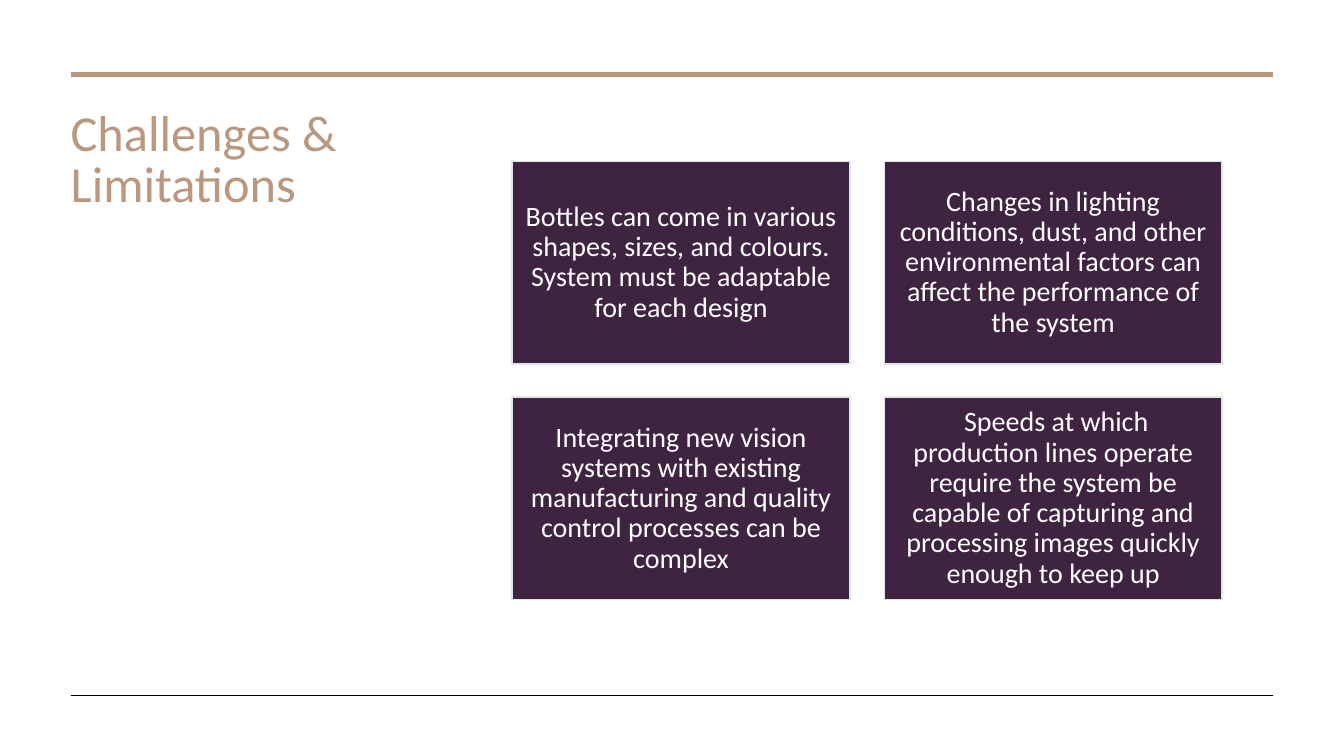
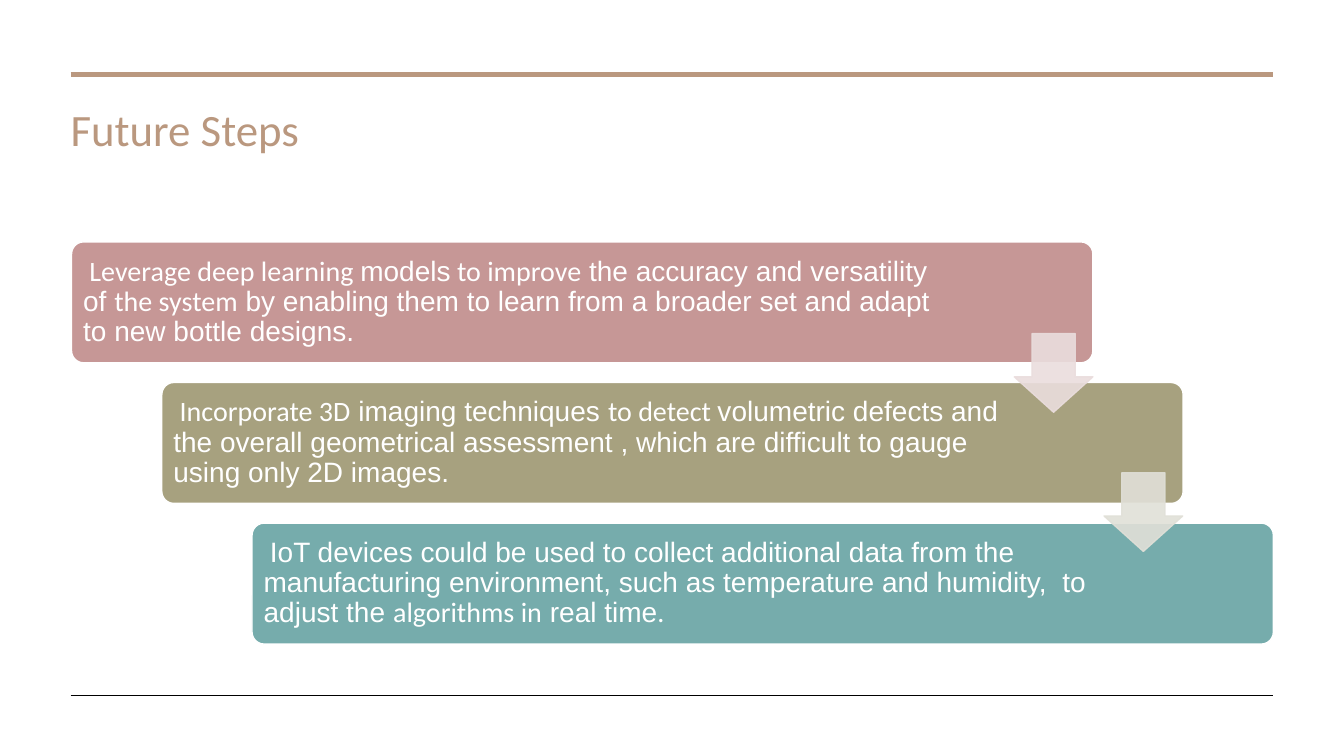
from dataclasses import dataclass

from lxml.etree import SubElement
from pptx import Presentation
from pptx.dml.color import RGBColor
from pptx.enum.shapes import MSO_CONNECTOR as Connector, MSO_SHAPE as Preset
from pptx.enum.text import MSO_ANCHOR as Anchor, MSO_AUTO_SIZE as AutoSize, PP_ALIGN as Align
from pptx.oxml.ns import qn
from pptx.shapes.autoshape import Shape
from pptx.slide import Slide
from pptx.util import Inches, Pt

COLOURS = {
    "accent": "BA987F",
    "footer": "000000",
    "white": "FFFFFF",
    "challenge": "3F2441",
    "challenge_edge": "E2E5E8",
    "learning": "C69796",
    "imaging": "A7A17F",
    "iot": "76ACAC",
    "learning_arrow": "EADDDD",
    "imaging_arrow": "E1E0D8",
}
SANS, ARIAL = "Calibri", "Arial"
TEXT_INSET = 0.08


@dataclass(frozen=True)
class Rule:
    top: float
    colour: str
    weight: float


@dataclass(frozen=True)
class Step:
    colour: str
    right_inset: float
    phrases: tuple[tuple[str, str], ...]


RULES = (Rule(0.74, "accent", 3), Rule(6.9, "footer", 0.5))

CHALLENGES = (
    "Bottles can come in various shapes, sizes, and colours. System must be adaptable for each design",
    "Changes in lighting conditions, dust, and other environmental factors can affect "
    "the performance of the system",
    "Integrating new vision systems with existing manufacturing and quality control "
    "processes can be complex",
    " Speeds at which production lines operate require the system be capable of capturing "
    "and processing images quickly enough to keep up",
)

STEPS = (
    Step("learning", 1.3, (
        (" Leverage deep learning ", SANS),
        ("models", ARIAL),
        (" to improve", SANS),
        (" the accuracy and versatility of ", ARIAL),
        ("the system", SANS),
        (" by enabling them to learn from a broader set and adapt to new bottle designs.", ARIAL),
    )),
    Step("imaging", 1.75, (
        (" Incorporate 3D", SANS),
        (" imaging techniques ", ARIAL),
        ("to detect ", SANS),
        ("volumetric defects and the overall geometrical assessment , which are difficult "
         "to gauge using only 2D images.", ARIAL),
    )),
    Step("iot", 1.75, (
        (" ", SANS),
        ("IoT devices could be used to collect additional data from the manufacturing "
         "environment, such as temperature and humidity,  to adjust the ", ARIAL),
        ("algorithms in", SANS),
        (" real time", ARIAL),
        (".", SANS),
    )),
)
STEP_ARROWS = ("learning_arrow", "imaging_arrow")


def rgb(colour: str) -> RGBColor:
    return RGBColor.from_string(COLOURS[colour])


def add_rule(slide: Slide, rule: Rule) -> None:
    line = slide.shapes.add_connector(
        Connector.STRAIGHT, Inches(0.7), Inches(rule.top), Inches(12.63), Inches(rule.top))
    line.line.color.rgb = rgb(rule.colour)
    line.line.width = Pt(rule.weight)
    SubElement(line._element.spPr, qn("a:effectLst"))


def add_titled_slide(deck: Presentation, heading: str, width: float, height: float,
                     size: int) -> Slide:
    slide = deck.slides.add_slide(deck.slide_layouts[5])
    title = slide.shapes.title
    title.left, title.top = Inches(0.6), Inches(1.04)
    title.width, title.height = Inches(width), Inches(height)
    frame = title.text_frame
    frame.text = heading
    frame.word_wrap = True
    frame.auto_size = AutoSize.NONE
    frame.vertical_anchor = Anchor.TOP
    paragraph = frame.paragraphs[0]
    paragraph.alignment = Align.LEFT
    paragraph.line_spacing = 0.85
    paragraph.font.name = SANS
    paragraph.font.size = Pt(size)
    paragraph.font.color.rgb = rgb("accent")
    for rule in RULES:
        add_rule(slide, rule)
    return slide


def add_panel(slide: Slide, preset: Preset, left: float, top: float, width: float,
              height: float, fill: str, edge: str) -> Shape:
    panel = slide.shapes.add_shape(
        preset, Inches(left), Inches(top), Inches(width), Inches(height))
    panel.shadow.inherit = False
    panel.fill.solid()
    panel.fill.fore_color.rgb = rgb(fill)
    panel.line.color.rgb = rgb(edge)
    panel.line.width = Pt(1)
    return panel


def write_panel(panel: Shape, phrases: tuple[tuple[str, str], ...], align: Align,
                right_inset: float = TEXT_INSET) -> None:
    frame = panel.text_frame
    frame.word_wrap = True
    frame.vertical_anchor = Anchor.MIDDLE
    frame.margin_left = frame.margin_top = frame.margin_bottom = Inches(TEXT_INSET)
    frame.margin_right = Inches(right_inset)
    paragraph = frame.paragraphs[0]
    paragraph.alignment = align
    paragraph.line_spacing = 0.9
    paragraph.font.size = Pt(20)
    paragraph.font.color.rgb = rgb("white")
    fonts = {font for _, font in phrases}
    if len(fonts) == 1:
        paragraph.font.name = fonts.pop()
    for text, font in phrases:
        run = paragraph.add_run()
        run.text = text
        if fonts:
            run.font.name = font


def add_step_arrow(slide: Slide, left: float, top: float, colour: str) -> None:
    arrow = add_panel(slide, Preset.DOWN_ARROW, left, top, 0.78, 0.78, colour, colour)
    arrow.adjustments[0], arrow.adjustments[1] = 0.55, 0.45
    for tint in arrow._element.spPr.iter(qn("a:srgbClr")):
        SubElement(tint, qn("a:alpha"), val="90000")


def build_challenges(deck: Presentation) -> None:
    slide = add_titled_slide(deck, "Challenges & Limitations", 4.15, 2.71, 36)
    for index, challenge in enumerate(CHALLENGES):
        row, column = divmod(index, 2)
        card = add_panel(slide, Preset.RECTANGLE, 5.08 + column * 3.69, 1.6 + row * 2.34,
                         3.35, 2.01, "challenge", "challenge_edge")
        write_panel(card, ((challenge, SANS),), Align.CENTER)


def build_future_steps(deck: Presentation) -> None:
    slide = add_titled_slide(deck, "Future Steps", 8.28, 1, 32)
    for index, step in enumerate(STEPS):
        bar = add_panel(slide, Preset.ROUNDED_RECTANGLE, 0.71 + index * 0.895,
                        2.4 + index * 1.395, 10.13, 1.2, step.colour, "white")
        bar.adjustments[0] = 0.1
        write_panel(bar, step.phrases, Align.LEFT, step.right_inset)
    for index, colour in enumerate(STEP_ARROWS):
        add_step_arrow(slide, 10.06 + index * 0.89, 3.31 + index * 1.38, colour)


def main() -> None:
    deck = Presentation()
    deck.slide_width, deck.slide_height = Inches(13.33), Inches(7.5)
    build_challenges(deck)
    build_future_steps(deck)
    deck.save("out.pptx")


if __name__ == "__main__":
    main()
